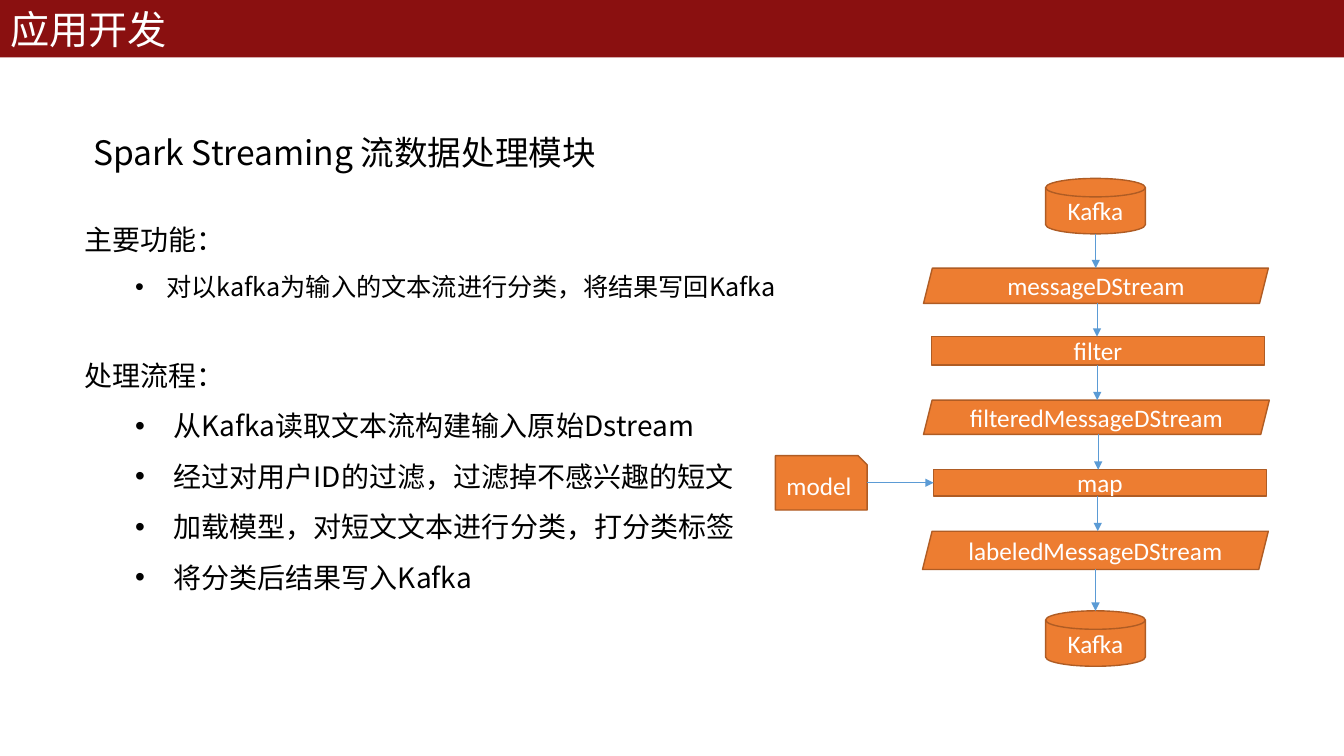
from dataclasses import dataclass
from itertools import pairwise

from lxml import etree
from pptx import Presentation
from pptx.dml.color import RGBColor
from pptx.enum import shapes, text
from pptx.oxml import ns
from pptx.util import Inches, Pt

SHAPE = shapes.MSO_SHAPE


@dataclass(frozen=True)
class Theme:
    banner: str = "8A1010"
    node: str = "ED7D31"
    node_line: str = "AF5C24"
    arrow: str = "5B9BD5"
    light: str = "FFFFFF"
    dark: str = "000000"
    cjk_font: str = "Noto Sans CJK SC"
    node_font: str = "Calibri"
    title_size: int = 28
    subtitle_size: int = 24
    body_size: int = 20
    small_size: int = 18


def write(p, content, *, font, size, color, align=text.PP_ALIGN.LEFT):
    p.alignment = align
    r = p.add_run()
    r.text = content
    r.font.name, r.font.size, r.font.bold = font, Pt(size), False
    r.font.color.rgb = RGBColor.from_string(color)
    ea = etree.SubElement(r.font._element, ns.qn("a:ea"))
    ea.set("typeface", font)


def set_bullet(p, left=0.0, hang=0.0, char=None):
    """Indent the paragraph in inches; without char it has no bullet."""
    pPr = p._p.get_or_add_pPr()
    pPr.set("marL", str(Inches(left)))
    pPr.set("indent", str(Inches(-hang)))
    if char:
        etree.SubElement(pPr, ns.qn("a:buFont")).set("typeface", "Arial")
        etree.SubElement(pPr, ns.qn("a:buChar")).set("char", char)
    else:
        etree.SubElement(pPr, ns.qn("a:buNone"))


class SlideBuilder:
    def __init__(self, slide, theme):
        self.slide, self.theme = slide, theme

    def place(self, sp, box, anchor):
        sp.left, sp.top, sp.width, sp.height = map(Inches, box)
        tf = sp.text_frame
        tf.word_wrap = True
        tf.auto_size = text.MSO_AUTO_SIZE.NONE
        tf.vertical_anchor = anchor
        return tf

    def banner(self, content, box):
        t, sp = self.theme, self.slide.shapes.title
        tf = self.place(sp, box, text.MSO_ANCHOR.MIDDLE)
        sp.fill.solid()
        sp.fill.fore_color.rgb = RGBColor.from_string(t.banner)
        write(tf.paragraphs[0], content, font=t.cjk_font, size=t.title_size, color=t.light)

    def subtitle(self, content, box):
        t = self.theme
        sp = self.slide.shapes.add_textbox(*map(Inches, box))
        sp.text_frame.word_wrap = False
        write(sp.text_frame.paragraphs[0], content, font=t.cjk_font,
              size=t.subtitle_size, color=t.dark)

    def section(self, idx, box, heading, items, size, left, hang):
        """Fill a body placeholder with a heading and its bulleted items."""
        t = self.theme
        tf = self.place(self.slide.placeholders[idx], box, text.MSO_ANCHOR.TOP)
        for i, content in enumerate([heading, *items]):
            p = tf.add_paragraph() if i else tf.paragraphs[0]
            p.line_spacing = 1.5
            p.space_before = p.space_after = Pt(0)
            if i:
                p.level = 1
                set_bullet(p, left, hang, "•")
            else:
                set_bullet(p)
            write(p, content, font=t.cjk_font, color=t.dark,
                  size=size if i else t.body_size)

    def node(self, kind, label, box):
        t = self.theme
        sp = self.slide.shapes.add_shape(kind, *map(Inches, box))
        sp.shadow.inherit = False
        sp.fill.solid()
        sp.fill.fore_color.rgb = RGBColor.from_string(t.node)
        sp.line.color.rgb = RGBColor.from_string(t.node_line)
        sp.line.width = Pt(1)
        sp.text_frame.vertical_anchor = text.MSO_ANCHOR.MIDDLE
        write(sp.text_frame.paragraphs[0], label, font=t.node_font,
              size=t.small_size, color=t.light, align=text.PP_ALIGN.CENTER)

    def arrow(self, *ends):
        line = self.slide.shapes.add_connector(
            shapes.MSO_CONNECTOR.STRAIGHT, *map(Inches, ends))
        line.line.color.rgb = RGBColor.from_string(self.theme.arrow)
        line.line.width = Pt(0.5)
        ln = line.line._get_or_add_ln()
        etree.SubElement(ln, ns.qn("a:tailEnd")).set("type", "triangle")
        etree.SubElement(line._element.spPr, ns.qn("a:effectLst"))


PIPELINE = [
    (SHAPE.FLOWCHART_MAGNETIC_DISK, "Kafka", (10.37, 1.77, 0.99, 0.55)),
    (SHAPE.PARALLELOGRAM, "messageDStream", (9.16, 2.66, 3.42, 0.35)),
    (SHAPE.RECTANGLE, "filter", (9.24, 3.34, 3.3, 0.28)),
    (SHAPE.PARALLELOGRAM, "filteredMessageDStream", (9.16, 3.97, 3.43, 0.34)),
    (SHAPE.RECTANGLE, "map", (9.26, 4.66, 3.3, 0.26)),
    (SHAPE.PARALLELOGRAM, "labeledMessageDStream", (9.15, 5.27, 3.43, 0.38)),
    (SHAPE.FLOWCHART_MAGNETIC_DISK, "Kafka", (10.37, 6.06, 0.99, 0.55)),
]
MODEL = (SHAPE.SNIP_1_RECTANGLE, "model", (7.69, 4.52, 0.91, 0.54))
FLOW_STEPS = [
    "从Kafka读取文本流构建输入原始Dstream",
    "经过对用户ID的过滤，过滤掉不感兴趣的短文",
    "加载模型，对短文文本进行分类，打分类标签",
    "将分类后结果写入Kafka",
]


def main():
    prs = Presentation()
    prs.slide_width, prs.slide_height = Inches(13.33), Inches(7.5)
    theme = Theme()
    two_content = prs.slide_layouts[3]
    b = SlideBuilder(prs.slides.add_slide(two_content), theme)

    b.banner("应用开发", (0, 0, 13.33, 0.57))
    b.subtitle("Spark Streaming 流数据处理模块", (0.83, 1.26, 5.3, 0.5))
    b.section(1, (0.74, 1.99, 7.12, 1.06), "主要功能：",
              ["对以kafka为输入的文本流进行分类，将结果写回Kafka"],
              theme.small_size, left=0.81, hang=0.31)
    b.section(2, (0.74, 3.34, 6.71, 2.63), "处理流程：", FLOW_STEPS,
              theme.body_size, left=0.88, hang=0.38)

    for step in [*PIPELINE, MODEL]:
        b.node(*step)
    for (_, _, src), (_, _, dst) in pairwise(PIPELINE):
        x = (src[0] + src[2] / 2 + dst[0] + dst[2] / 2) / 2
        b.arrow(x, src[1] + src[3], x, dst[1])
    left, top, width, height = MODEL[2]
    map_left = PIPELINE[4][2][0]
    b.arrow(left + width, top + height / 2, map_left, top + height / 2)

    prs.save("out.pptx")


if __name__ == "__main__":
    main()
